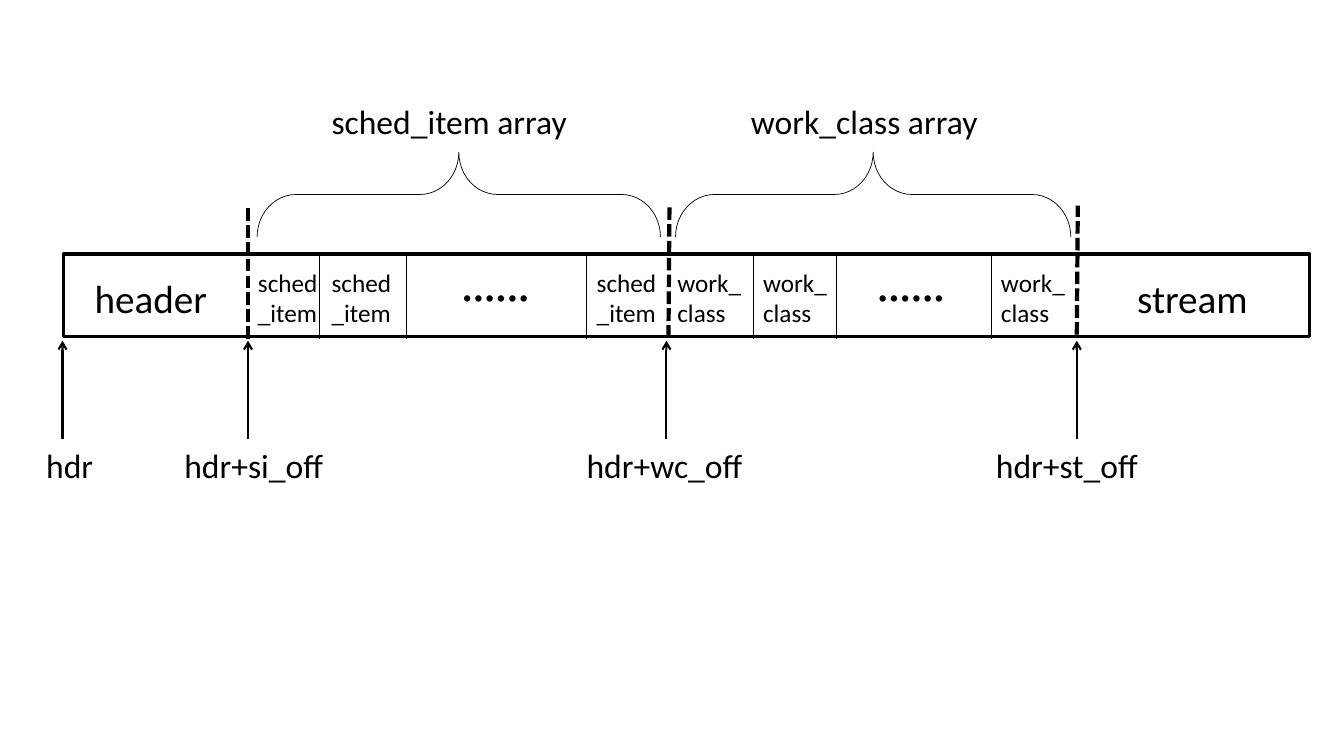
import dataclasses

import lxml.etree
import pptx
import pptx.dml.color
import pptx.enum.dml
import pptx.enum.shapes
import pptx.oxml.ns
import pptx.util

BLACK = pptx.dml.color.RGBColor(0, 0, 0)
WHITE = pptx.dml.color.RGBColor(255, 255, 255)
FONT = "Calibri"

# Grid: one column or row is a tenth of an inch
GRID = pptx.util.Inches(0.1)
BAR_LEFT, BAR_TOP, BAR_WIDTH, BAR_HEIGHT = 6.3, 25.2, 123.6, 8.2
DASH_TOP, BRACE_TOP, BRACE_HEIGHT = 20.4, 15.1, 8.4
CELL_TOP, CELL_HEIGHT = 26, 7.1
ARROW_TOP, ARROW_BOTTOM = 33.8, 43.6


@dataclasses.dataclass(frozen=True)
class ArraySection:
    item: str
    cell_width: float
    cells: tuple[float, ...]
    dividers: tuple[float, ...]
    dots: float
    brace_left: float
    brace_width: float
    title_left: float


@dataclasses.dataclass(frozen=True)
class Pointer:
    label: str
    column: float
    label_left: float
    label_width: float


@dataclasses.dataclass(frozen=True)
class Boundary:
    top_column: float
    bottom_column: float
    bottom: float


ARRAYS = (
    ArraySection("sched_item", 8.1, (24.6, 31.9, 58.2), (31.7, 40.3, 58.2), 44.8, 25.5, 40, 31.9),
    ArraySection("work_class", 8.6, (66.2, 74.7, 98.3), (74.7, 83, 98.3), 86, 67, 39.2, 73.5),
)
BOUNDARIES = (
    Boundary(24.6, 24.6, 33.6),
    Boundary(66.4, 66.3, 33.5),
    Boundary(106.9, 106.8, 33.2),
)
POINTERS = (
    Pointer("hdr", 6.2, 3.6, 6.8),
    Pointer("hdr+si_off", 24.6, 17.3, 17.4),
    Pointer("hdr+wc_off", 66.1, 57.2, 19),
    Pointer("hdr+st_off", 106.8, 97.8, 19),
)


def grid(count: float) -> int:
    return round(count * GRID)


def add_text(text: str, *, left: float, top: float, width: float, height: float, size: float) -> None:
    box = page.shapes.add_textbox(grid(left), grid(top), grid(width), grid(height))
    box.text_frame.word_wrap = True
    span = box.text_frame.paragraphs[0].add_run()
    span.text = text
    span.font.name = FONT
    span.font.size = pptx.util.Pt(size)
    span.font.color.rgb = BLACK


def add_line(start: tuple[float, float], end: tuple[float, float], *, weight: float,
             dashed: bool = False, arrow: bool = False) -> None:
    line = page.shapes.add_connector(
        pptx.enum.shapes.MSO_CONNECTOR.STRAIGHT, *map(grid, start + end))
    line.line.color.rgb = BLACK
    line.line.width = pptx.util.Pt(weight)
    if dashed:
        line.line.dash_style = pptx.enum.dml.MSO_LINE.SQUARE_DOT
    if arrow:
        lxml.etree.SubElement(line.line._get_or_add_ln(), pptx.oxml.ns.qn("a:tailEnd"), type="arrow")
    lxml.etree.SubElement(line._element.spPr, pptx.oxml.ns.qn("a:effectLst"))


def add_brace(left: float, width: float) -> None:
    # A left brace turned a quarter keeps the centre of its unturned frame
    brace = page.shapes.add_shape(
        pptx.enum.shapes.MSO_SHAPE.LEFT_BRACE,
        grid(left + (width - BRACE_HEIGHT) / 2), grid(BRACE_TOP + (BRACE_HEIGHT - width) / 2),
        grid(BRACE_HEIGHT), grid(width))
    brace.rotation = 90
    brace.adjustments[0] = 0.46
    brace.adjustments[1] = 0.5
    brace.shadow.inherit = False
    brace.fill.background()
    brace.line.color.rgb = BLACK
    brace.line.width = pptx.util.Pt(0.5)


def add_array(section: ArraySection) -> None:
    for column in section.dividers:
        add_line((column, BAR_TOP), (column, BAR_TOP + 8.4), weight=0.5)
    for left in section.cells:
        add_text(section.item, left=left, top=CELL_TOP, width=section.cell_width,
                 height=CELL_HEIGHT, size=18)
    add_text("·" * 6, left=section.dots, top=CELL_TOP, width=9.2, height=6.4, size=32)
    add_brace(section.brace_left, section.brace_width)
    add_text(f"{section.item} array", left=section.title_left, top=9.5, width=27.6, height=5, size=24)


deck = pptx.Presentation()
deck.slide_width = pptx.util.Inches(13.33)
deck.slide_height = pptx.util.Inches(7.5)
page = deck.slides.add_slide(deck.slide_layouts[6])

# Memory bar with its two outer fields
bar = page.shapes.add_shape(
    pptx.enum.shapes.MSO_SHAPE.RECTANGLE,
    *map(grid, (BAR_LEFT, BAR_TOP, BAR_WIDTH, BAR_HEIGHT)))
bar.shadow.inherit = False
bar.fill.solid()
bar.fill.fore_color.rgb = WHITE
bar.line.color.rgb = BLACK
bar.line.width = pptx.util.Pt(2.25)
for field, field_left in (("header", 8.4), ("stream", 111.8)):
    add_text(field, left=field_left, top=26.7, width=14.8, height=5.7, size=28)

# Arrays inside the bar
for array in ARRAYS:
    add_array(array)

# Dashed boundaries between sections
for boundary in BOUNDARIES:
    add_line((boundary.bottom_column, boundary.bottom), (boundary.top_column, DASH_TOP),
             weight=3, dashed=True)

# Offset pointers below the bar
for pointer in POINTERS:
    add_line((pointer.column, ARROW_BOTTOM), (pointer.column, ARROW_TOP), weight=1.5, arrow=True)
    add_text(pointer.label, left=pointer.label_left, top=ARROW_BOTTOM,
             width=pointer.label_width, height=5, size=24)

deck.save("out.pptx")
